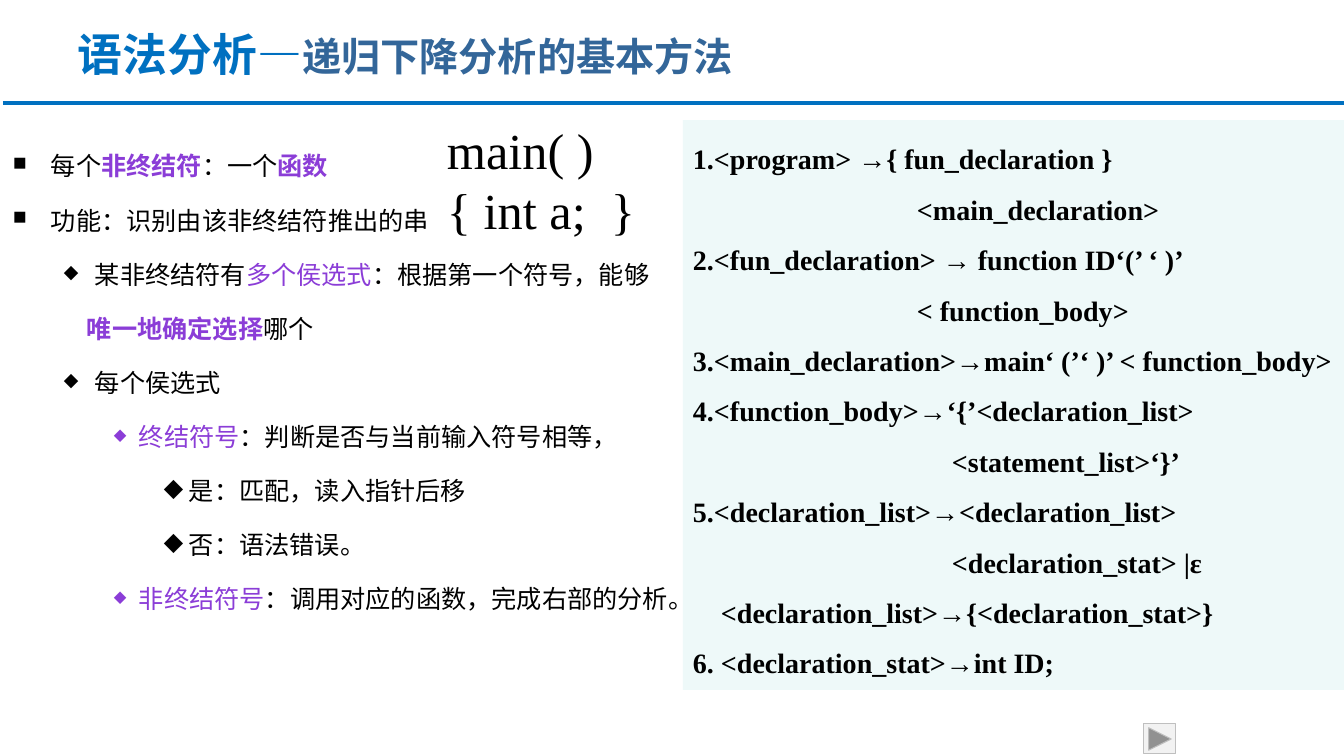
from dataclasses import dataclass

from lxml.etree import SubElement
from pptx import Presentation
from pptx.dml.color import RGBColor
from pptx.enum.shapes import MSO_CONNECTOR, MSO_SHAPE
from pptx.enum.text import MSO_ANCHOR, PP_ALIGN
from pptx.oxml.ns import qn
from pptx.util import Emu, Pt

BLACK, BLUE, STEEL, PURPLE = "000000", "0070C0", "336699", "8B3DD7"
MINT, PALE_GREY, GREY = "EEF9F9", "F2F2F2", "BFBFBF"


def px(length):
    return Emu(round(length * 914400 / 100.8))


def color(value):
    return RGBColor.from_string(value)


@dataclass
class Run:
    text: str
    color: str = BLACK
    bold: bool = False
    size: int = 18


@dataclass
class Line:
    runs: list
    level: int = 0
    margin: int = 0
    hanging: int = 0
    bullet: str = ""
    bullet_percent: int = 100


@dataclass
class SlideBuilder:
    slide: object
    font: str = "Times New Roman"

    def fill_text(self, frame, lines, spacing=None, gap=0, anchor=MSO_ANCHOR.TOP):
        frame.word_wrap = True
        frame.vertical_anchor = anchor
        frame.margin_left = px(10)
        frame.margin_right = px(5)
        frame.margin_top = frame.margin_bottom = px(5)
        for index, line in enumerate(lines):
            paragraph = frame.add_paragraph() if index else frame.paragraphs[0]
            paragraph.alignment = PP_ALIGN.LEFT
            paragraph.level = line.level
            if spacing:
                paragraph.line_spacing = spacing
            if index and gap:
                paragraph.space_before = Pt(gap)
            self.indent(paragraph, line)
            for part in line.runs:
                run = paragraph.add_run()
                run.text = part.text
                run.font.name = self.font
                run.font.size = Pt(part.size)
                run.font.bold = part.bold
                run.font.color.rgb = color(part.color)

    def indent(self, paragraph, line):
        properties = paragraph._p.get_or_add_pPr()
        properties.set("marL", str(px(line.margin)))
        properties.set("indent", str(px(-line.hanging)))
        if line.bullet:
            bullet_color = SubElement(properties, qn("a:buClr"))
            SubElement(bullet_color, qn("a:srgbClr"), val=line.runs[0].color)
            SubElement(properties, qn("a:buSzPct"), val=str(line.bullet_percent * 1000))
            SubElement(properties, qn("a:buChar"), char=line.bullet)

    def text(self, left, top, width, height, lines, **style):
        box = self.slide.shapes.add_textbox(px(left), px(top), px(width), px(height))
        self.fill_text(box.text_frame, lines, **style)

    def shape(self, kind, left, top, width, height, fill, outline=None):
        shape = self.slide.shapes.add_shape(kind, px(left), px(top), px(width), px(height))
        shape.shadow.inherit = False
        shape.fill.solid()
        shape.fill.fore_color.rgb = color(fill)
        if outline:
            shape.line.color.rgb = color(outline)
            shape.line.width = Pt(0.75)
        else:
            shape.line.fill.background()
        return shape

    def rule(self, left, right, y, line_color, width):
        connector = self.slide.shapes.add_connector(
            MSO_CONNECTOR.STRAIGHT, px(left), px(y), px(right), px(y))
        connector.line.color.rgb = color(line_color)
        connector.line.width = Pt(width)
        SubElement(connector._element.spPr, qn("a:effectLst"))


def topic(*runs):
    return Line(runs, 0, 38, 38, "■", 75)


def detail(*runs):
    return Line(runs, 1, 82, 31, "◆", 75)


def symbol_case(*runs):
    return Line(runs, 2, 126, 25, "◆", 65)


def outcome(*runs):
    return Line(runs, 3, 176, 25, "◆")


METHOD = [
    topic(Run("每个"), Run("非终结符", PURPLE, True), Run("：一个"), Run("函数", PURPLE, True)),
    topic(Run("功能：识别由该非终结符推出的串")),
    detail(Run("某非终结符有"), Run("多个侯选式", PURPLE), Run("：根据第一个符号，能够")),
    Line([Run("唯一地确定选择", PURPLE, True), Run("哪个")], 1, 74),
    detail(Run("每个侯选式")),
    symbol_case(Run("终结符号", PURPLE), Run("：判断是否与当前输入符号相等，")),
    outcome(Run("是：匹配，读入指针后移")),
    outcome(Run("否：语法错误。")),
    symbol_case(Run("非终结符号", PURPLE), Run("：调用对应的函数，完成右部的分析。")),
]

# Left margin in px and text of each grammar line
GRAMMAR = [
    (0, "1.<program> →{ fun_declaration }"),
    (224, "<main_declaration>"),
    (0, "2.<fun_declaration> → function ID‘(’ ‘ )’"),
    (224, "< function_body>"),
    (0, "3.<main_declaration>→main‘ (’‘ )’ < function_body>"),
    (0, "4.<function_body>→‘{’<declaration_list>"),
    (259, "<statement_list>‘}’"),
    (0, "5.<declaration_list>→<declaration_list>"),
    (259, "<declaration_stat> |ε"),
    (28, "<declaration_list>→{<declaration_stat>}"),
    (0, "6. <declaration_stat>→int ID;"),
]


def main():
    presentation = Presentation()
    presentation.slide_width, presentation.slide_height = px(1344), px(756)
    builder = SlideBuilder(presentation.slides.add_slide(presentation.slide_layouts[6]))

    # Method outline
    builder.text(3, 127, 706, 563, METHOD, spacing=Pt(35), gap=3.6)

    # Forward button
    builder.shape(MSO_SHAPE.ACTION_BUTTON_FORWARD_OR_NEXT, 1144, 724, 32, 30, PALE_GREY, GREY)

    # Title and rule
    title = Line([Run("语法分析—", BLUE, True, 32), Run("递归下降分析的基本方法", STEEL, True, 28)])
    builder.text(68, 17, 962, 74, [title], anchor=MSO_ANCHOR.MIDDLE)
    builder.rule(3, 1344, 103, BLUE, 2.25)

    # Grammar panel
    panel = builder.shape(MSO_SHAPE.RECTANGLE, 683, 120, 661, 570, MINT)
    rules = [Line([Run(text, bold=True, size=20)], margin=margin) for margin, text in GRAMMAR]
    builder.fill_text(panel.text_frame, rules, spacing=1.5)

    # Sample program
    sample = [Line([Run(text, size=36)]) for text in ("main( )", "{ int a;  }")]
    builder.text(437, 114, 280, 132, sample)

    presentation.save("out.pptx")


if __name__ == "__main__":
    main()
